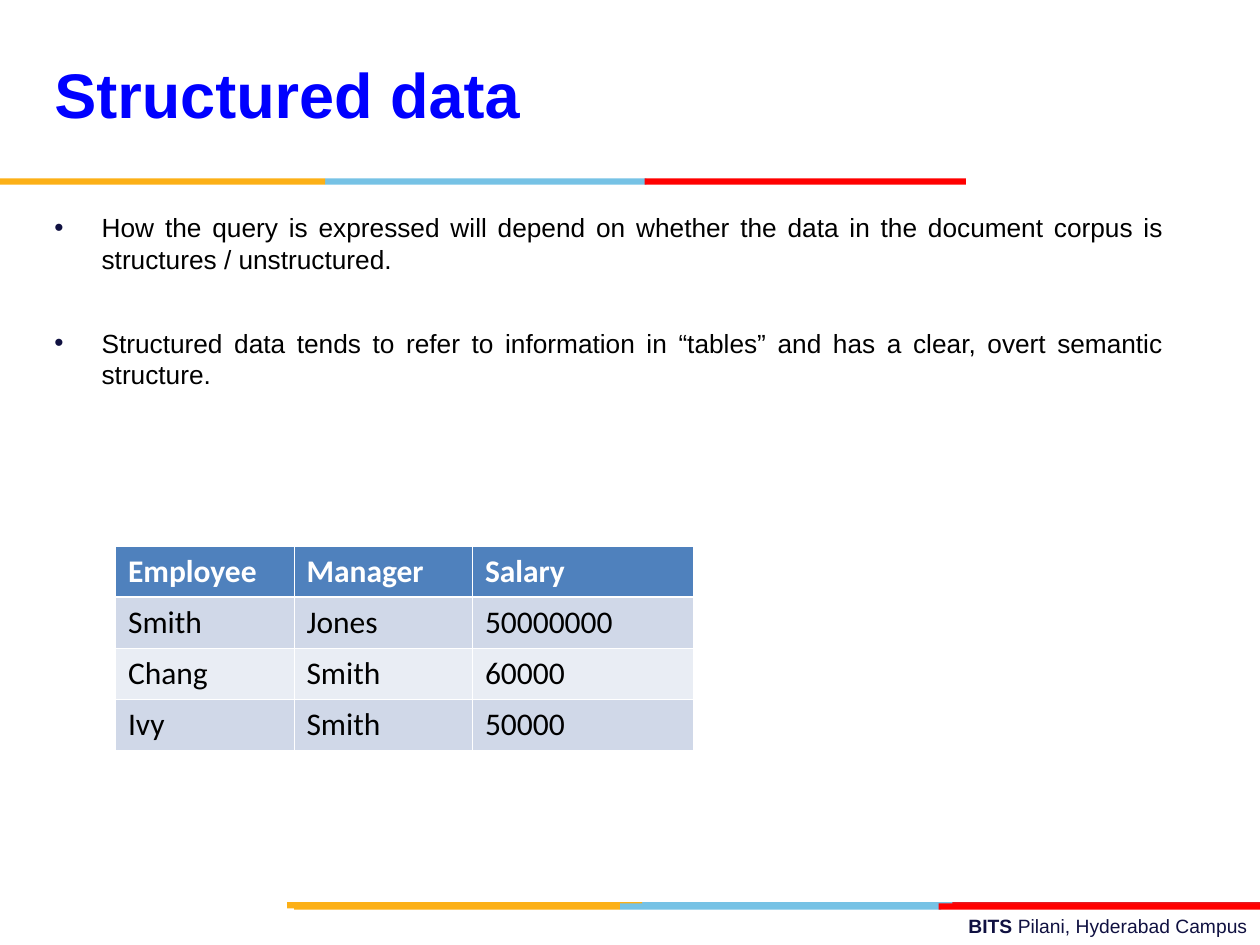
from dataclasses import dataclass
from lxml.etree import SubElement
from pptx import Presentation
from pptx.dml.color import RGBColor as RGB
from pptx.enum.shapes import MSO_SHAPE as Shape
from pptx.enum.text import MSO_ANCHOR as Anchor, PP_ALIGN as Align
from pptx.oxml.ns import qn
from pptx.util import Pt


@dataclass(frozen=True)
class Theme:
    title: str = "0000FF"
    ink: str = "000000"
    navy: str = "101141"
    white: str = "FFFFFF"
    orange: str = "FCB017"
    blue: str = "76C2E5"
    red: str = "FF0000"
    dark_red: str = "E31C24"
    header: str = "4F81BD"
    bands: tuple = ("D0D8E8", "E9EDF4")
    font: str = "Arial"
    table_font: str = "Calibri"
    title_size: float = 36
    body_size: float = 15
    table_size: float = 18
    footer_size: float = 11


THEME = Theme()


def add_run(paragraph, text, size, color, bold=False, font=THEME.font):
    run = paragraph.add_run()
    run.text = text
    run.font.name = font
    run.font.size = Pt(size)
    run.font.bold = bold
    run.font.color.rgb = RGB.from_string(color)


def add_text_frame(slide, box, anchor=Anchor.TOP):
    frame = slide.shapes.add_textbox(*map(Pt, box)).text_frame
    frame.word_wrap = True
    frame.vertical_anchor = anchor
    return frame


def set_indent(paragraph, indent, bullet=None):
    properties = paragraph._p.get_or_add_pPr()
    properties.set("marL", str(Pt(indent)))
    properties.set("indent", str(-Pt(indent)))
    if bullet:
        color = SubElement(properties, qn("a:buClr"))
        SubElement(color, qn("a:srgbClr"), val=THEME.navy)
        SubElement(properties, qn("a:buFont"), typeface=THEME.font)
        SubElement(properties, qn("a:buChar"), char=bullet)


def add_stripe(slide, box, segments):
    """Coloured bars, each an (offset, width, colour) within the box."""
    left, top, _, height = box
    for offset, width, color in segments:
        bar = slide.shapes.add_shape(
            Shape.RECTANGLE, Pt(left + offset), Pt(top), Pt(width), Pt(height))
        bar.shadow.inherit = False
        bar.fill.solid()
        bar.fill.fore_color.rgb = RGB.from_string(color)
        bar.line.fill.background()


def add_title(slide, box, text):
    paragraph = add_text_frame(slide, box, Anchor.MIDDLE).paragraphs[0]
    paragraph.line_spacing = Pt(36)
    add_run(paragraph, text, THEME.title_size, THEME.title, bold=True)


def add_bullets(slide, box, items):
    frame = add_text_frame(slide, box)
    for index, text in enumerate(items):
        paragraph = frame.add_paragraph() if index else frame.paragraphs[0]
        set_indent(paragraph, 27, "•")
        paragraph.alignment = Align.JUSTIFY
        paragraph.line_spacing = Pt(18)
        if index:
            paragraph.space_before = Pt(30)
        add_run(paragraph, text, THEME.body_size, THEME.ink)


def set_borders(cell, widths):
    properties = cell._tc.get_or_add_tcPr()
    for position, (side, width) in enumerate(widths.items()):
        line = properties.makeelement(qn(f"a:{side}"), {"w": str(Pt(width))})
        fill = SubElement(line, qn("a:solidFill"))
        SubElement(fill, qn("a:srgbClr"), val=THEME.white)
        properties.insert(position, line)


def add_data_table(slide, box, column_widths, rows):
    table = slide.shapes.add_table(
        len(rows), len(column_widths), *map(Pt, box)).table
    for column, width in zip(table.columns, column_widths):
        column.width = Pt(width)
    for row_index, values in enumerate(rows):
        table.rows[row_index].height = Pt(box[3] / len(rows))
        is_header = row_index == 0
        fill = THEME.header if is_header else THEME.bands[(row_index - 1) % 2]
        borders = {"lnL": 0.45, "lnR": 0.45,
                   "lnT": 1.47 if row_index == 1 else 0.45,
                   "lnB": 1.47 if is_header else 0.45}
        for column_index, value in enumerate(values):
            cell = table.cell(row_index, column_index)
            cell.fill.solid()
            cell.fill.fore_color.rgb = RGB.from_string(fill)
            set_borders(cell, borders)
            add_run(cell.text_frame.paragraphs[0], value, THEME.table_size,
                    THEME.white if is_header else THEME.ink,
                    is_header, THEME.table_font)


def add_footer(slide, box):
    paragraph = add_text_frame(slide, box).paragraphs[0]
    paragraph.alignment = Align.RIGHT
    add_run(paragraph, "BITS ", THEME.footer_size, THEME.navy, bold=True)
    add_run(paragraph, "Pilani, Hyderabad Campus", THEME.footer_size, THEME.navy)


def main():
    presentation = Presentation()
    presentation.slide_width, presentation.slide_height = Pt(720), Pt(540)
    slide = presentation.slides.add_slide(presentation.slide_layouts[6])

    # Footer with its two overlapping stripes
    add_footer(slide, (257.8, 519.1, 462.2, 20.9))
    add_stripe(slide, (164, 515.5, 556, 3.6), [
        (200.3, 183.6, THEME.blue),
        (380.3, 175.7, THEME.dark_red),
        (0, 203, THEME.orange)])
    add_stripe(slide, (168, 516.2, 552, 3.6), [
        (186.2, 183.6, THEME.blue),
        (0, 186.2, THEME.orange),
        (368.4, 183.6, THEME.red)])

    # Heading
    add_stripe(slide, (0, 102, 552, 3.6), [
        (185.8, 183.6, THEME.blue),
        (0, 185.8, THEME.orange),
        (368.4, 183.6, THEME.red)])
    add_title(slide, (24, 12, 498, 90), "Structured data")

    # Body
    add_bullets(slide, (24, 117.4, 648, 122.4), [
        "How the query is expressed will depend on whether the data in the "
        "document corpus is structures / unstructured.",
        "Structured data tends to refer to information in “tables” and has a "
        "clear, overt semantic structure."])
    add_data_table(slide, (66, 312, 330, 116.6), (102, 102, 126), [
        ("Employee", "Manager", "Salary"),
        ("Smith", "Jones", "50000000"),
        ("Chang", "Smith", "60000"),
        ("Ivy", "Smith", "50000")])

    presentation.save("out.pptx")


if __name__ == "__main__":
    main()
